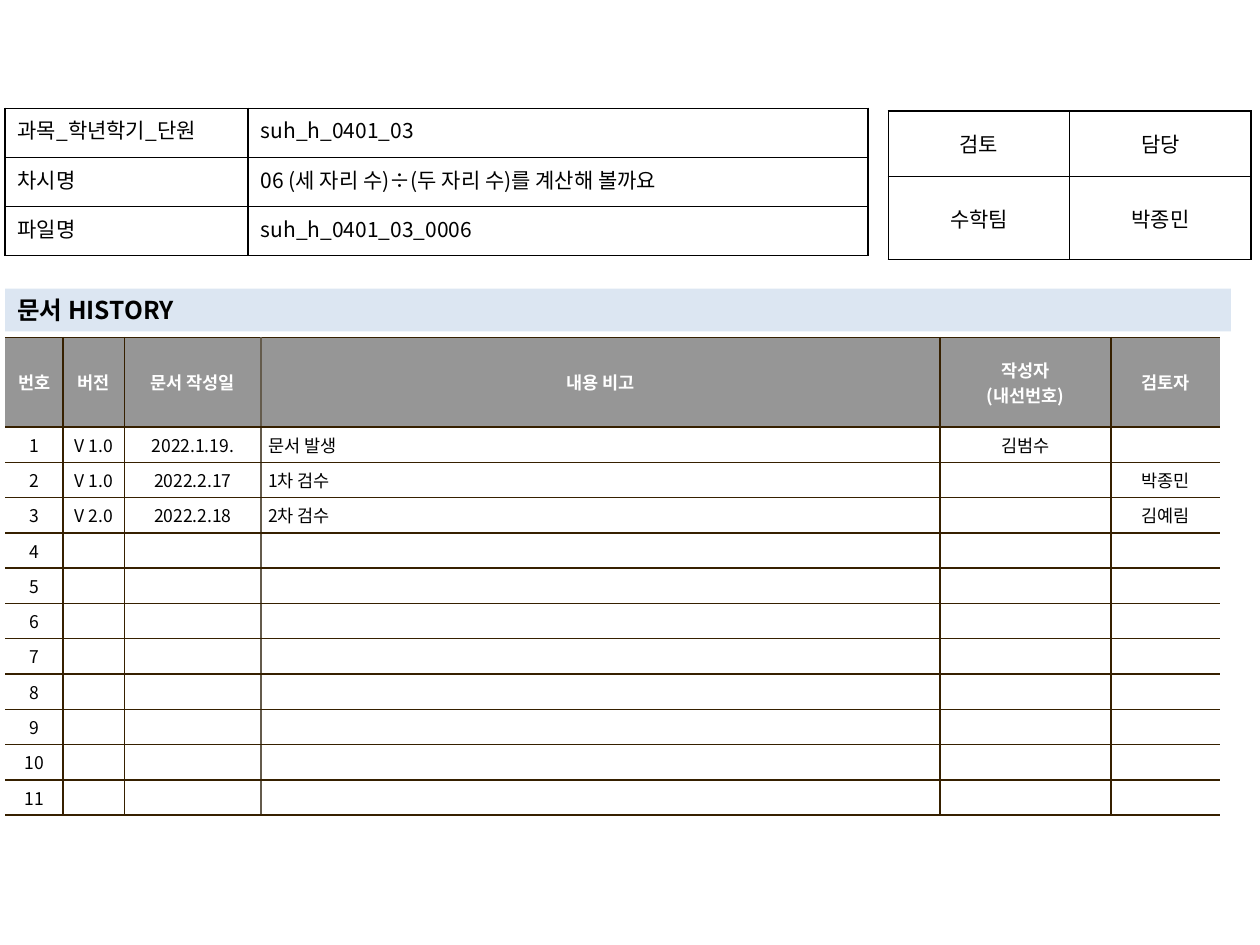
from lxml import etree
from pptx import Presentation
from pptx.dml.color import RGBColor
from pptx.enum.shapes import MSO_SHAPE
from pptx.enum.text import MSO_ANCHOR, PP_ALIGN
from pptx.oxml.ns import qn
from pptx.util import Inches, Pt

LEFT, CENTER, JUSTIFY = PP_ALIGN.LEFT, PP_ALIGN.CENTER, PP_ALIGN.JUSTIFY
TOP, MIDDLE = MSO_ANCHOR.TOP, MSO_ANCHOR.MIDDLE
RECTANGLE = MSO_SHAPE.RECTANGLE

FONT = "Noto Sans CJK KR"
BLACK, WHITE = "000000", "FFFFFF"
BROWN, TAUPE = "362000", "645B4C"
HEADER_GRAY, BAND_BLUE = "969696", "DCE6F2"

HISTORY_HEADER = ["번호", "버전", "문서 작성일", "내용 비고", "작성자\n(내선번호)", "검토자"]
HISTORY_ENTRIES = [
    ["V 1.0", "2022.1.19.", "문서 발생", "김범수", ""],
    ["V 1.0", "2022.2.17", "1차 검수", "", "박종민"],
    ["V 2.0", "2022.2.18", "2차 검수", "", "김예림"],
]
HISTORY_COUNT = 11
NOTE_COLUMN = 3


def rgb(color):
    return RGBColor.from_string(color)


def write_text(frame, text, size=12, color=BLACK, bold=False, align=LEFT, hanging=0):
    """Fill a text frame, one paragraph for each line of text."""
    for index, line in enumerate(text.split("\n")):
        para = frame.paragraphs[0] if index == 0 else frame.add_paragraph()
        para.alignment = align
        if hanging:
            properties = para._p.get_or_add_pPr()
            properties.set("marL", str(Inches(hanging)))
            properties.set("indent", str(-Inches(hanging)))
        if not line:
            # An empty cell keeps the text size so that its row stays low
            etree.SubElement(para._p, qn("a:endParaRPr"), sz=str(size * 100))
            continue
        span = para.add_run()
        span.text = line
        span.font.size = Pt(size)
        span.font.bold = bold
        span.font.name = FONT
        span.font.color.rgb = rgb(color)
        east_asian = etree.SubElement(span._r.get_or_add_rPr(), qn("a:ea"))
        east_asian.set("typeface", FONT)


def set_borders(cell, left=BLACK, right=BLACK, top=BLACK, bottom=BLACK):
    """Draw one-point borders; None leaves a side open."""
    properties = cell._tc.get_or_add_tcPr()
    sides = {"L": left, "R": right, "T": top, "B": bottom}
    for side, color in sides.items():
        line = etree.SubElement(properties, qn(f"a:ln{side}"), w=str(Pt(1)))
        if color is None:
            etree.SubElement(line, qn("a:noFill"))
        else:
            fill = etree.SubElement(line, qn("a:solidFill"))
            etree.SubElement(fill, qn("a:srgbClr"), val=color)


def style_cell(cell, fill=None, anchor=TOP, inset=(0.1, 0.05), **borders):
    set_borders(cell, **borders)
    if fill:
        cell.fill.solid()
        cell.fill.fore_color.rgb = rgb(fill)
    else:
        cell.fill.background()
    cell.vertical_anchor = anchor
    cell.margin_left = cell.margin_right = Inches(inset[0])
    cell.margin_top = cell.margin_bottom = Inches(inset[1])


def add_grid(page, left, top, widths, heights):
    """Add a table with plain style and return it."""
    frame = page.shapes.add_table(
        len(heights), len(widths), Inches(left), Inches(top),
        Inches(sum(widths)), Inches(sum(heights)))
    table = frame.table
    table.first_row = table.horz_banding = False
    for column, width in zip(table.columns, widths):
        column.width = Inches(width)
    for row, height in zip(table.rows, heights):
        row.height = Inches(height)
    return table


def add_history(page):
    widths = [0.46, 0.49, 1.08, 5.39, 1.36, 0.86]
    table = add_grid(page, 0.04, 2.68, widths, [0.71] + [0.28] * HISTORY_COUNT)
    blank = [""] * (len(widths) - 1)
    entries = HISTORY_ENTRIES + [blank] * (HISTORY_COUNT - len(HISTORY_ENTRIES))
    rows = [HISTORY_HEADER]
    rows += [[str(number), *entry] for number, entry in enumerate(entries, 1)]
    # Vertical lines from the open left edge to the open right edge
    lines = [None, BROWN, BROWN, TAUPE, BROWN, BROWN, None]
    for r, row in enumerate(rows):
        header = r == 0
        for c, text in enumerate(row):
            cell = table.cell(r, c)
            style_cell(cell, HEADER_GRAY if header else WHITE, MIDDLE, (0.06, 0.04),
                       left=lines[c], right=lines[c + 1], top=BROWN, bottom=BROWN)
            note = c == NOTE_COLUMN and not header
            write_text(cell.text_frame, text, size=10, bold=header,
                       color=WHITE if header else BLACK,
                       align=LEFT if note else CENTER, hanging=0.19 if note else 0)


def add_form(page, left, top, widths, heights, rows, aligns, anchor):
    """Add a table with black borders and no fill."""
    table = add_grid(page, left, top, widths, heights)
    for r, row in enumerate(rows):
        for c, text in enumerate(row):
            cell = table.cell(r, c)
            style_cell(cell, anchor=anchor)
            write_text(cell.text_frame, text, align=aligns[c])


def add_heading(page, text):
    band = page.shapes.add_shape(
        RECTANGLE, Inches(0.04), Inches(2.29), Inches(9.73), Inches(0.34))
    band.shadow.inherit = False
    band.fill.solid()
    band.fill.fore_color.rgb = rgb(BAND_BLUE)
    band.line.fill.background()
    band.text_frame.word_wrap = True
    band.text_frame.vertical_anchor = MIDDLE
    write_text(band.text_frame, text, size=14, bold=True)


def main():
    deck = Presentation()
    deck.slide_width, deck.slide_height = Inches(10), Inches(7.5)
    page = deck.slides.add_slide(deck.slide_layouts[6])

    # Document history
    add_history(page)

    # Review sign-off
    add_form(page, 7.05, 0.88, [1.44, 1.44], [0.52, 0.66],
             [["검토", "담당"], ["수학팀", "박종민"]], [CENTER, CENTER], MIDDLE)

    # Section heading
    add_heading(page, "문서 HISTORY")

    # Lesson details
    add_form(page, 0.04, 0.86, [1.93, 4.92], [0.39] * 3,
             [["과목_학년학기_단원", "suh_h_0401_03"],
              ["차시명", "06 (세 자리 수)÷(두 자리 수)를 계산해 볼까요"],
              ["파일명", "suh_h_0401_03_0006"]], [JUSTIFY, LEFT], TOP)

    deck.save("out.pptx")


if __name__ == "__main__":
    main()
